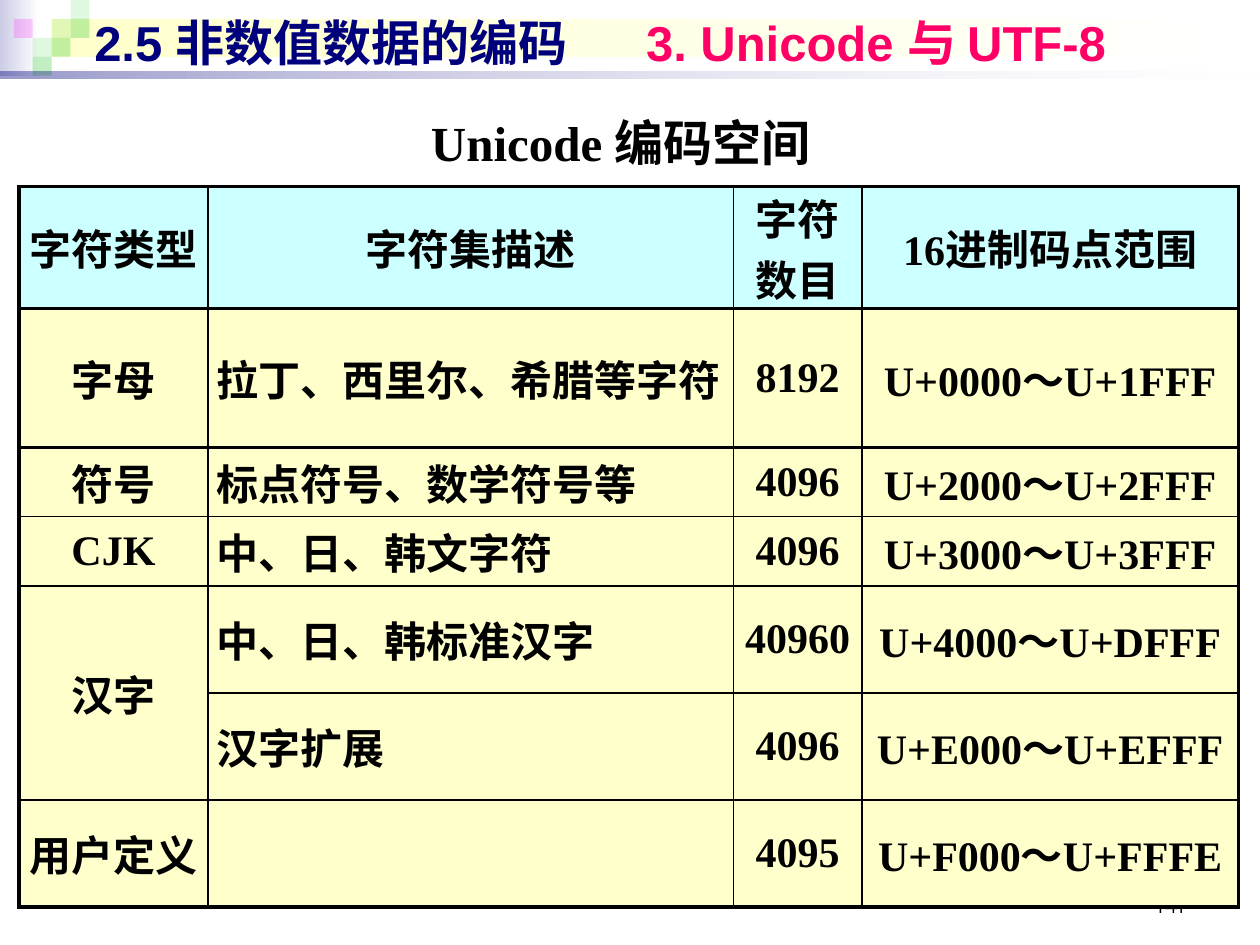
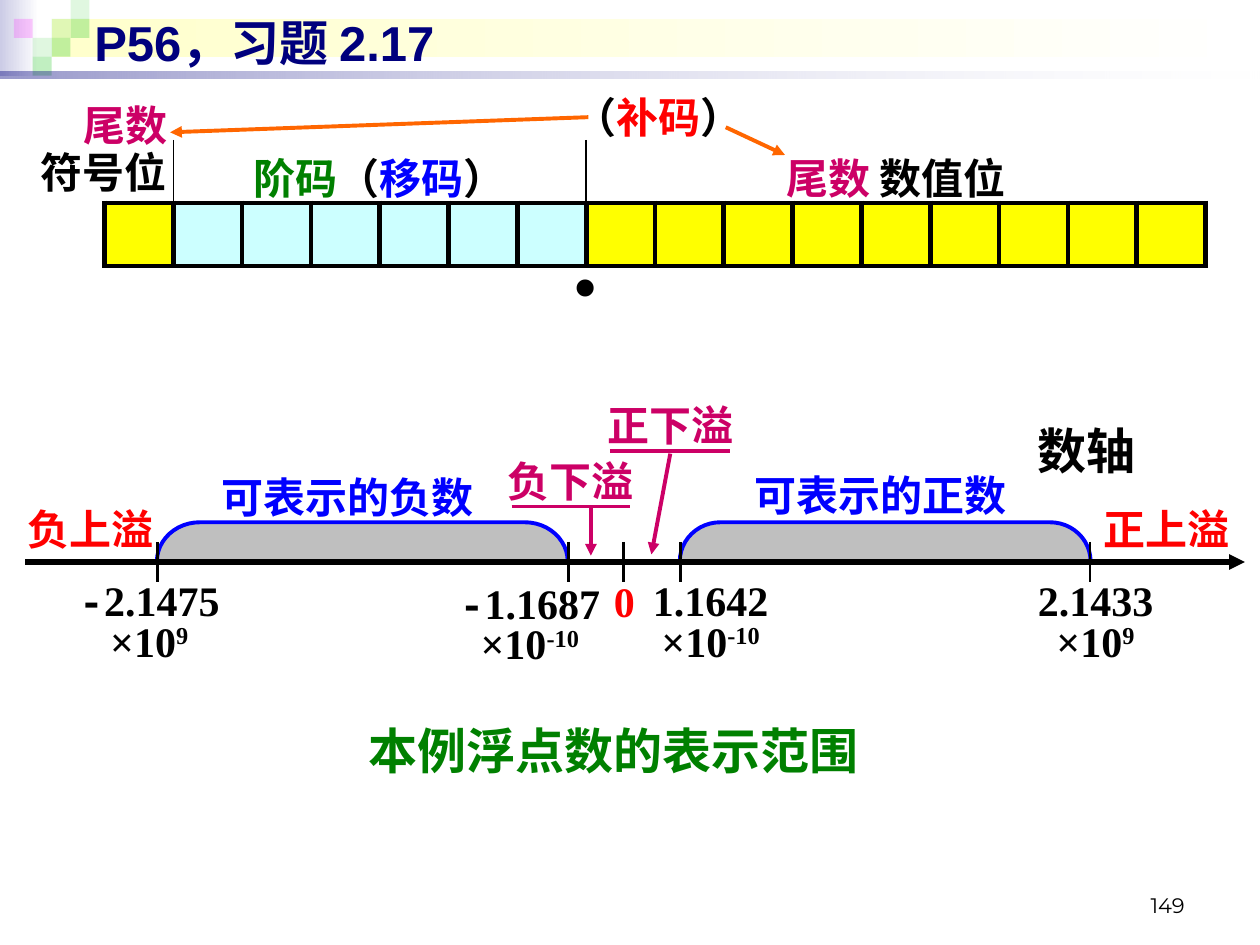
from lxml import etree
from pptx import Presentation
from pptx.dml.color import RGBColor
from pptx.enum.shapes import MSO_CONNECTOR, MSO_SHAPE
from pptx.enum.text import MSO_ANCHOR, MSO_AUTO_SIZE, PP_ALIGN
from pptx.oxml.ns import qn
from pptx.util import Inches, Pt

RECT, BRACKET = MSO_SHAPE.RECTANGLE, MSO_SHAPE.LEFT_BRACKET
STRAIGHT = MSO_CONNECTOR.STRAIGHT
LEFT, CENTER, RIGHT = PP_ALIGN.LEFT, PP_ALIGN.CENTER, PP_ALIGN.RIGHT
MIDDLE, BOTTOM = MSO_ANCHOR.MIDDLE, MSO_ANCHOR.BOTTOM
GROW = MSO_AUTO_SIZE.SHAPE_TO_FIT_TEXT

BLACK, WHITE, RED, BLUE = "000000", "FFFFFF", "FF0000", "0000FF"
NAVY, PINK, MAGENTA = "00007D", "FF0066", "CC0066"
GREEN, ORANGE, GREY = "008000", "FF6600", "BFBFBF"
CREAM, AQUA, YELLOW = "FFFFCC", "CCFFFF", "FFFF00"
LEAF, VIOLET = "33CC33", "FF00FF"
SERIF, SANS, CJK = "Times New Roman", "Arial", "Noto Sans CJK SC"


def rgb(color):
    return RGBColor.from_string(color)


def write(frame, runs, size=24, font=SERIF, color=BLACK, bold=True,
          align=CENTER, spacing=None, tab=None):
    """Fill one paragraph; each run is (text, format that differs)."""
    paragraph = frame.paragraphs[0]
    if tab:
        tabs = etree.SubElement(paragraph._p.get_or_add_pPr(), qn("a:tabLst"))
        etree.SubElement(tabs, qn("a:tab"), pos=str(Inches(tab)), algn="l")
    paragraph.alignment = align
    if spacing:
        paragraph.line_spacing = spacing
    for text, own in [(runs, {})] if isinstance(runs, str) else runs:
        for number, line in enumerate(text.split("\n")):
            if number:
                paragraph.add_line_break()
            run = paragraph.add_run()
            run.text = line
            run.font.size = Pt(size)
            run.font.bold = bold
            run.font.color.rgb = rgb(own.get("color", color))
            run.font.name = own.get("font", font)
            properties = run._r.get_or_add_rPr()
            etree.SubElement(properties, qn("a:ea"), typeface=CJK)
            if own.get("raised"):
                properties.set("baseline", "30000")


prs = Presentation()
prs.slide_width, prs.slide_height = Inches(10), Inches(7.5)

# Shared band: left, top, width, height, colours, opacity in percent
TILE = 0.15
band = [
    (0, 0, 0.31, 0.6, ("CCCCE6", WHITE), (100, 100)),
    (0.41, 0.15, 9.55, 0.3, (CREAM, WHITE), (100, 100)),
]
for column, row, color, opacity in [
        (2, 1, LEAF, 15), (3, 0, LEAF, 15), (3, 1, LEAF, 30),
        (1, 2, LEAF, 15), (0, 1, VIOLET, 20), (2, 2, LEAF, 30),
        (1, 3, LEAF, 30)]:
    band.append((0.11 + column * TILE, row * TILE, TILE, TILE,
                 (color,), (opacity,)))
band.append((0, 0.57, 10, 0.05, (NAVY, WHITE), (40, 10)))

pages = [
    ([("2.5 非数值数据的编码\t", {}),
      ("3. Unicode 与 UTF-8", {"color": PINK})], "141"),
    ([("P56", {}), ("，", {"font": CJK}), ("习题 2.17", {})], "149"),
]
slides = []
for title, page_number in pages:
    slide = prs.slides.add_slide(prs.slide_layouts[6])
    slides.append(slide)
    for left, top, width, height, colors, opacities in band:
        part = slide.shapes.add_shape(
            RECT, Inches(left), Inches(top), Inches(width), Inches(height))
        part.shadow.inherit = False
        part.line.fill.background()
        if len(colors) == 2:
            part.fill.gradient()
            part.fill.gradient_angle = 0
            for stop, color in zip(part.fill.gradient_stops, colors):
                stop.color.rgb = rgb(color)
        else:
            part.fill.solid()
            part.fill.fore_color.rgb = rgb(colors[0])
        for node, opacity in zip(part._element.iter(qn("a:srgbClr")), opacities):
            etree.SubElement(node, qn("a:alpha"), val=str(opacity * 1000))

    heading = slide.shapes.add_textbox(
        Inches(0.65), Inches(0.05), Inches(9), Inches(0.57)).text_frame
    heading.word_wrap = True
    heading.vertical_anchor = MIDDLE
    write(heading, title, size=28, font=SANS, color=NAVY, align=LEFT, tab=4.38)

    footer = slide.shapes.add_textbox(
        Inches(7.17), Inches(6.83), Inches(2.33), Inches(0.5)).text_frame
    footer.word_wrap = True
    footer.vertical_anchor = BOTTOM
    write(footer, page_number, size=12, font="Montserrat", bold=False, align=RIGHT)

unicode_slide, float_slide = slides
cell_borders = []  # (cell, widths of left, right, top, bottom)

# Unicode code space: caption
caption = unicode_slide.shapes.add_textbox(
    Inches(0.35), Inches(0.84), Inches(9.15), Inches(0.63)).text_frame
caption.word_wrap = True
write(caption, "Unicode 编码空间", size=28)

# Unicode code space: table
code_rows = [
    ("字符类型", "字符集描述", "字符数目", "16进制码点范围"),
    ("字母", "拉丁、西里尔、希腊等字符", "8192", "U+0000～U+1FFF"),
    ("符号", "标点符号、数学符号等", "4096", "U+2000～U+2FFF"),
    ("CJK", "中、日、韩文字符", "4096", "U+3000～U+3FFF"),
    ("汉字", "中、日、韩标准汉字", "40960", "U+4000～U+DFFF"),
    ("", "汉字扩展", "4096", "U+E000～U+EFFF"),
    ("用户定义", "", "4095", "U+F000～U+FFFE"),
]
column_widths = [1.5, 4.17, 1.02, 2.99]
row_heights = [0.97, 1.1, 0.55, 0.55, 0.85, 0.85, 0.85]
code_table = unicode_slide.shapes.add_table(
    7, 4, Inches(0.15), Inches(1.48),
    Inches(sum(column_widths)), Inches(sum(row_heights))).table
code_table.first_row = code_table.horz_banding = False
for column, width in zip(code_table.columns, column_widths):
    column.width = Inches(width)
for row, height in zip(code_table.rows, row_heights):
    row.height = Inches(height)
code_table.cell(4, 0).merge(code_table.cell(5, 0))
heavy_rules = (0, 1, 2, 7)
for r, texts in enumerate(code_rows):
    for c, text in enumerate(texts):
        cell = code_table.cell(r, c)
        cell.fill.solid()
        cell.fill.fore_color.rgb = rgb(CREAM if r else AQUA)
        cell.vertical_anchor = MIDDLE
        cell.margin_left = cell.margin_right = Inches(0.07)
        cell.margin_top = cell.margin_bottom = 0
        if text:
            write(cell.text_frame, text, align=LEFT if r and c == 1 else CENTER)
        cell_borders.append((cell, (
            2.25 if c == 0 else 1, 2.25 if c == 3 else 1,
            2.25 if r in heavy_rules else 1,
            2.25 if r + 1 in heavy_rules else 1)))

# Number line: representable ranges
AXIS_Y = 4.46
for left, bend in [(2.72, 1.1), (6.87, 1.04)]:
    number_range = float_slide.shapes.add_shape(
        BRACKET, Inches(left), Inches(2.67), Inches(0.31), Inches(3.26))
    number_range.rotation = 90
    number_range.adjustments[0] = bend
    number_range.shadow.inherit = False
    number_range.fill.solid()
    number_range.fill.fore_color.rgb = rgb(GREY)
    number_range.line.color.rgb = rgb(BLUE)
    number_range.line.width = Pt(2.25)

# Axis, ticks, underlines and pointers: x1, y1, x2, y2, colour, width, arrow
strokes = [(0.2, AXIS_Y, 9.88, AXIS_Y, BLACK, 3, True)]
strokes += [(x, AXIS_Y - 0.16, x, AXIS_Y + 0.16, BLACK, 1.5, False)
            for x in (1.25, 4.51, 4.95, 5.4, 8.65)]
strokes += [
    (5.32, 3.6, 5.17, 4.4, MAGENTA, 2.25, True),
    (4.69, 4.02, 4.69, 4.41, MAGENTA, 2.25, True),
    (4.84, 3.58, 5.79, 3.58, MAGENTA, 2.25, False),
    (4.06, 4.02, 5, 4.02, MAGENTA, 2.25, False),
    (5.76, 1.01, 6.23, 1.23, ORANGE, 2.25, True),
    (4.67, 0.93, 1.35, 1.05, ORANGE, 2.25, True),
]
for x1, y1, x2, y2, color, width, arrow in strokes:
    stroke = float_slide.shapes.add_connector(
        STRAIGHT, Inches(x1), Inches(y1), Inches(x2), Inches(y2))
    stroke.line.color.rgb = rgb(color)
    stroke.line.width = Pt(width)
    properties = stroke._element.spPr
    if arrow:
        etree.SubElement(properties.find(qn("a:ln")), qn("a:tailEnd"),
                         type="triangle")
    etree.SubElement(properties, qn("a:effectLst"))

# Bit layout of the floating-point number
BITS, BIT_WIDTH, ROW_HEIGHT = 16, 8.74 / 16, 0.5
bit_table = float_slide.shapes.add_table(
    2, BITS, Inches(0.83), Inches(1.11),
    Inches(BITS * BIT_WIDTH), Inches(2 * ROW_HEIGHT)).table
bit_table.first_row = bit_table.horz_banding = False
for row in bit_table.rows:
    row.height = Inches(ROW_HEIGHT)
for bit, column in enumerate(bit_table.columns):
    column.width = Inches(BIT_WIDTH)
    label_cell, bit_cell = bit_table.cell(0, bit), bit_table.cell(1, bit)
    label_cell.fill.background()
    label_cell.vertical_anchor = MIDDLE
    bit_cell.fill.solid()
    bit_cell.fill.fore_color.rgb = rgb(AQUA if 1 <= bit <= 6 else YELLOW)
    cell_borders.append((label_cell, (
        1 if bit in (1, 7) else 0, 1 if bit in (0, 6, 15) else 0, 0, 3)))
    cell_borders.append((bit_cell, (3, 3, 3, 3)))
fields = [
    (1, 6, [("阶码", {"color": GREEN}), ("（", {}),
            ("移码", {"color": BLUE}), ("）", {})]),
    (7, 15, [("尾数", {"color": MAGENTA}), (" 数值位", {})]),
]
for first, last, runs in fields:
    bit_table.cell(0, first).merge(bit_table.cell(0, last))
    write(bit_table.cell(0, first).text_frame, runs)

# Labels: left, top, width, height, runs, format
MINUS = ("-", {"font": "Courier New"})
NINE, MINUS_TEN = ("9", {"raised": True}), ("-10", {"raised": True})
TIGHT = {"spacing": 0.8}
labels = [
    (4.77, 4.52, 0.37, 0.5, "0", {"color": RED}),
    (8.13, 4.59, 1.13, 0.75, [("2.1433\n×10", {}), NINE], TIGHT),
    (5.05, 4.59, 1.18, 0.75, [("1.1642\n×10", {}), MINUS_TEN], TIGHT),
    (3.54, 4.61, 1.33, 0.75, [MINUS, ("1.1687\n×10", {}), MINUS_TEN], TIGHT),
    (0.52, 4.59, 1.33, 0.75, [MINUS, ("2.1475\n×10", {}), NINE], TIGHT),
    (1.58, 3.69, 2.36, 0.5, "可表示的负数", {"color": BLUE}),
    (5.71, 3.68, 2.56, 0.5, "可表示的正数", {"color": BLUE}),
    (0.09, 3.95, 1.26, 0.5, "负上溢", {"color": RED}),
    (3.9, 3.57, 1.26, 0.5, "负下溢", {"color": MAGENTA}),
    (4.69, 3.12, 1.26, 0.5, "正下溢", {"color": MAGENTA}),
    (8.62, 3.95, 1.27, 0.5, "正上溢", {"color": RED}),
    (8.13, 3.29, 0.99, 0.57, "数轴", {"size": 28}),
    (2.37, 5.67, 5, 0.57, "本例浮点数的表示范围", {"size": 28, "color": GREEN}),
    (4.44, 1.46, 0.41, 1.11, ".", {"size": 60}),
    (0.56, 0.74, 0.88, 0.5, "尾数", {"color": MAGENTA}),
    (0.21, 1.11, 1.22, 0.5, "符号位", {}),
    (4.45, 0.68, 1.56, 0.5,
     [("（", {}), ("补码", {"color": RED}), ("）", {})], {}),
]
for left, top, width, height, runs, style in labels:
    label = float_slide.shapes.add_textbox(
        Inches(left), Inches(top), Inches(width), Inches(height)).text_frame
    label.word_wrap = False
    label.auto_size = GROW
    write(label, runs, **style)

# Cell borders of both tables
for cell, widths in cell_borders:
    properties = cell._tc.get_or_add_tcPr()
    for index, (side, width) in enumerate(zip("LRTB", widths)):
        edge = etree.Element(qn("a:ln" + side), w=str(Pt(width)))
        properties.insert(index, edge)
        if width:
            fill = etree.SubElement(edge, qn("a:solidFill"))
            etree.SubElement(fill, qn("a:srgbClr"), val=BLACK)
        else:
            etree.SubElement(edge, qn("a:noFill"))

prs.save("out.pptx")
